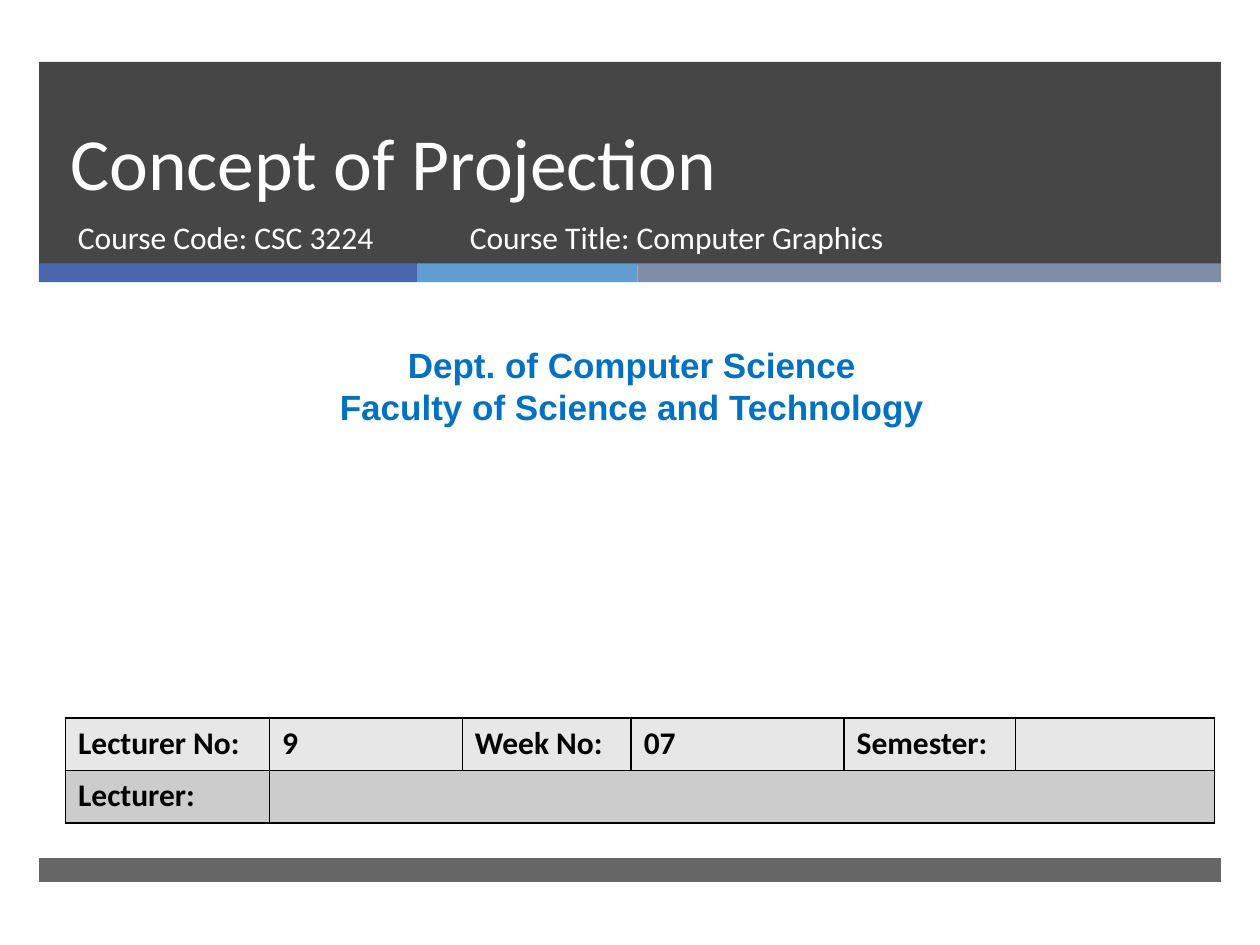
import pptx
import pptx.dml.color
import pptx.enum.shapes
import pptx.enum.text
import pptx.oxml.ns
import pptx.util
from lxml import etree

COLORS = {
    "ink": "262626", "navy": "4A66AC", "sky": "629DD1", "slate": "7F8FA9",
    "white": "FFFFFF", "dept": "0070C0", "black": "000000",
    "row_light": "E7E7E7", "row_dark": "CCCCCC",
}
ALIGN = pptx.enum.text.PP_ALIGN
ANCHOR = pptx.enum.text.MSO_ANCHOR


def rgb(name):
    return pptx.dml.color.RGBColor.from_string(COLORS[name])


def write(frame, text, size=18, font="Calibri", color="white", bold=False,
          align=ALIGN.LEFT, line_spacing=None):
    """Fill a text frame, one paragraph for each line of text."""
    for index, line in enumerate(text.split("\n")):
        paragraph = frame.paragraphs[0] if index == 0 else frame.add_paragraph()
        paragraph.alignment = align
        if line_spacing:
            paragraph.line_spacing = pptx.util.Pt(line_spacing)
        run = paragraph.add_run()
        run.text = line
        run.font.size = pptx.util.Pt(size)
        run.font.name = font
        run.font.bold = bold
        run.font.color.rgb = rgb(color)


class Deck:
    """Slide on a grid of 100 columns by 75 rows."""
    COLUMNS, ROWS = 100, 75

    def __init__(self, width=10, height=7.5):
        self.prs = pptx.Presentation()
        self.prs.slide_width = pptx.util.Inches(width)
        self.prs.slide_height = pptx.util.Inches(height)
        self.slide = self.prs.slides.add_slide(self.prs.slide_layouts[6])

    def x(self, columns):
        return round(self.prs.slide_width * columns / self.COLUMNS)

    def y(self, rows):
        return round(self.prs.slide_height * rows / self.ROWS)

    def box(self, left, top, width, height):
        return self.x(left), self.y(top), self.x(width), self.y(height)

    def band(self, left, top, width, height, color, opacity=100):
        band = self.slide.shapes.add_shape(
            pptx.enum.shapes.MSO_SHAPE.RECTANGLE, *self.box(left, top, width, height))
        band.shadow.inherit = False
        band.line.fill.background()
        band.fill.solid()
        band.fill.fore_color.rgb = rgb(color)
        if opacity < 100:
            value = band.fill._xPr.find(".//" + pptx.oxml.ns.qn("a:srgbClr"))
            etree.SubElement(value, pptx.oxml.ns.qn("a:alpha"), val=str(opacity * 1000))

    def text(self, left, top, width, height, text, anchor=ANCHOR.TOP, **style):
        frame = self.slide.shapes.add_textbox(*self.box(left, top, width, height)).text_frame
        frame.word_wrap = True
        frame.vertical_anchor = anchor
        write(frame, text, **style)

    def border(self, cell, width=1):
        properties = cell._tc.get_or_add_tcPr()
        for side in ("a:lnL", "a:lnR", "a:lnT", "a:lnB"):
            line = etree.SubElement(properties, pptx.oxml.ns.qn(side),
                                    w=str(pptx.util.Pt(width)))
            fill = etree.SubElement(line, pptx.oxml.ns.qn("a:solidFill"))
            etree.SubElement(fill, pptx.oxml.ns.qn("a:srgbClr"), val=COLORS["black"])

    def table(self, left, top, widths, row_height, rows, fills):
        table = self.slide.shapes.add_table(
            len(rows), len(widths),
            *self.box(left, top, sum(widths), row_height * len(rows))).table
        for column, width in zip(table.columns, widths):
            column.width = self.x(width)
        for r, (texts, fill) in enumerate(zip(rows, fills)):
            table.rows[r].height = self.y(row_height)
            for c in range(len(widths)):
                cell = table.cell(r, c)
                self.border(cell)
                cell.fill.solid()
                cell.fill.fore_color.rgb = rgb(fill)
                if c < len(texts) and texts[c]:
                    write(cell.text_frame, texts[c], color="black", bold=True)
        return table


def main():
    deck = Deck()
    margin, content_width = 3.1, 93.8

    # Header block, accent stripes and footer bar
    deck.band(margin, 4.9, content_width, 16.1, "ink", opacity=85)
    stripe_left = margin
    for width, color in ((30, "navy"), (17.5, "sky"), (46.3, "slate")):
        deck.band(stripe_left, 20.9, width, 1.5, color)
        stripe_left += width
    deck.band(margin, 68.1, content_width, 1.9, "ink", opacity=70)

    # Lecture title and course details
    deck.text(4.6, 4.9, 85.4, 11.9, "Concept of Projection",
              anchor=ANCHOR.BOTTOM, size=42, line_spacing=46)
    deck.text(5.2, 16.8, 30.5, 5.3, "Course Code: CSC 3224")
    deck.text(36.3, 16.8, 45.5, 5.3, "Course Title: Computer Graphics")

    # Department
    deck.text(0.8, 26.8, 98.7, 7.7,
              "Dept. of Computer Science\nFaculty of Science and Technology",
              size=20, font="Arial", color="dept", bold=True, align=ALIGN.CENTER)

    # Lecture details
    details = deck.table(
        5.2, 57, (16.2, 15.3, 13.4, 16.9, 13.6, 15.8), 4.15,
        (("Lecturer No:", "9", "Week No:", "07", "Semester:"), ("Lecturer:",)),
        ("row_light", "row_dark"))
    details.cell(1, 1).merge(details.cell(1, 5))

    deck.prs.save("out.pptx")


if __name__ == "__main__":
    main()
